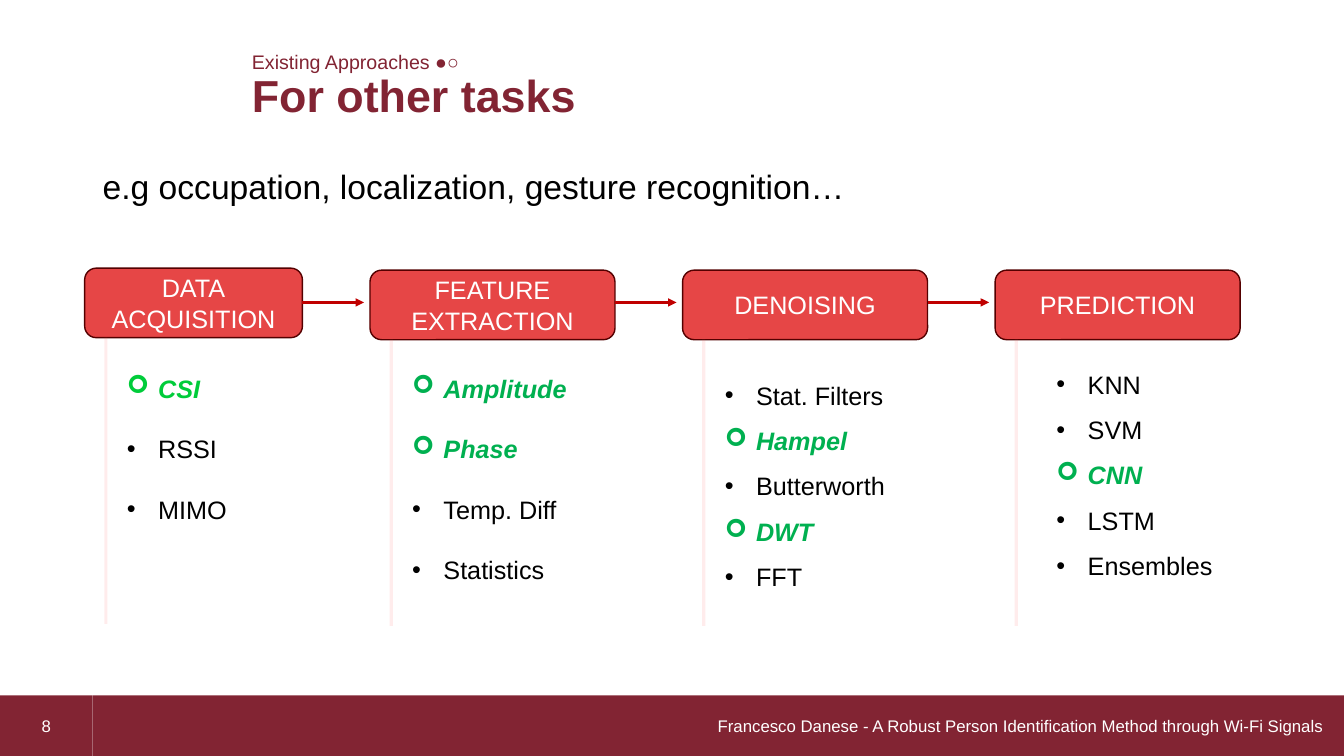
"""Build the slide on existing Wi-Fi sensing approaches for other tasks."""
import lxml.etree
import pptx
import pptx.util
from pptx.dml.color import RGBColor
from pptx.enum.shapes import MSO_CONNECTOR, MSO_SHAPE
from pptx.enum.text import MSO_ANCHOR, PP_ALIGN
from pptx.oxml.ns import qn

MAROON = RGBColor(0x82, 0x24, 0x33)
RED = RGBColor(0xE6, 0x46, 0x46)
DARK_RED = RGBColor(0x54, 0x00, 0x00)
ARROW_RED = RGBColor(0xC0, 0x00, 0x00)
PINK = RGBColor(0xFF, 0x70, 0x70)
GREEN = RGBColor(0x00, 0xB0, 0x50)
BRIGHT_GREEN = RGBColor(0x00, 0xCC, 0x3A)
BLACK = RGBColor(0, 0, 0)
WHITE = RGBColor(0xFF, 0xFF, 0xFF)

WIDTH, HEIGHT = 13.33, 7.5
FIRST_LEFT, PITCH, BOX_W, BOX_H = 0.57, 3.1, 2.43, 0.69
ARROW_Y, ARROW_W = 3.0, 0.61
RULE_INSET, RULE_H = 0.21, 2.84
FOOTER_TOP, NUMBER_W = 0.92 * HEIGHT, 0.92
INDENT = 0.31

STAGES = [
    dict(name="DATA\nACQUISITION", trim=0.27, top=2.66, list_gap=0.11, list_top=3.65,
         list_w=1.78, spread=False, accent=BRIGHT_GREEN,
         methods=["CSI", "RSSI", "MIMO"], chosen={"CSI"}),
    dict(name="FEATURE EXTRACTION", trim=0, top=2.68, list_gap=0.11, list_top=3.65,
         list_w=1.78, spread=False, accent=GREEN,
         methods=["Amplitude", "Phase", "Temp. Diff", "Statistics"],
         chosen={"Amplitude", "Phase"}),
    dict(name="DENOISING", trim=0, top=2.68, list_gap=0.11, list_top=3.57,
         list_w=2.79, spread=True, accent=GREEN,
         methods=["Stat. Filters", "Hampel", "Butterworth", "DWT", "FFT"],
         chosen={"Hampel", "DWT"}),
    dict(name="PREDICTION", trim=0, top=2.68, list_gap=0.3, list_top=3.46,
         list_w=2.79, spread=True, accent=GREEN,
         methods=["KNN", "SVM", "CNN", "LSTM", "Ensembles"], chosen={"CNN"}),
]


def inches(*lengths):
    """Convert lengths in inches to slide units."""
    return [pptx.util.Inches(length) for length in lengths]


def style(p, size, color, bold=False, italic=False):
    """Format every run of a paragraph."""
    for r in p.runs:
        r.font.name, r.font.size = "Arial", pptx.util.Pt(size)
        r.font.bold, r.font.italic = bold, italic
        r.font.color.rgb = color


def add_label(s, text, left, top, width, height, size, color, bold=False, wrap=True):
    """Add a one-line text box."""
    tf = s.shapes.add_textbox(*inches(left, top, width, height)).text_frame
    tf.word_wrap = wrap
    tf.text = text
    style(tf.paragraphs[0], size, color, bold)


def add_block(s, kind, text, left, top, width, height, fill, size, line=None,
              align=PP_ALIGN.CENTER):
    """Add a filled shape with white text and return it."""
    sp = s.shapes.add_shape(kind, *inches(left, top, width, height))
    sp.shadow.inherit = False
    sp.fill.solid()
    sp.fill.fore_color.rgb = fill
    if line is None:
        sp.line.fill.background()
    else:
        sp.line.color.rgb, sp.line.width = line, pptx.util.Pt(1)
    tf = sp.text_frame
    tf.word_wrap, tf.vertical_anchor = True, MSO_ANCHOR.MIDDLE
    tf.text = text
    for p in tf.paragraphs:
        p.alignment = align
        style(p, size, WHITE)
    return sp


def add_line(s, x1, y1, x2, y2, color, weight, arrow=False, opacity=None):
    """Add a straight line, with an arrowhead or transparency if asked."""
    cx = s.shapes.add_connector(MSO_CONNECTOR.STRAIGHT, *inches(x1, y1, x2, y2))
    cx.line.color.rgb, cx.line.width = color, pptx.util.Pt(weight)
    sp_pr = cx._element.spPr
    ln = sp_pr.find(qn("a:ln"))
    if arrow:
        lxml.etree.SubElement(ln, qn("a:tailEnd"), type="triangle")
    if opacity is not None:
        clr = ln.find(".//" + qn("a:srgbClr"))
        lxml.etree.SubElement(clr, qn("a:alpha"), val=str(opacity * 1000))
    lxml.etree.SubElement(sp_pr, qn("a:effectLst"))


def set_bullet(p, char, font):
    """Give a paragraph a hanging bullet."""
    p_pr = p._p.get_or_add_pPr()
    indent = pptx.util.Inches(INDENT)
    p_pr.set("marL", str(indent))
    p_pr.set("indent", str(-indent))
    lxml.etree.SubElement(p_pr, qn("a:buFont"), typeface=font)
    lxml.etree.SubElement(p_pr, qn("a:buChar"), char=char)


def add_methods(s, stage, left):
    """Add the bulleted methods of a stage, with the chosen ones accented."""
    methods = stage["methods"]
    height = 0.55 * len(methods)
    box = s.shapes.add_textbox(*inches(left, stage["list_top"], stage["list_w"], height))
    tf = box.text_frame
    tf.word_wrap = True
    tf.text = "\n".join(methods)
    for i, p in enumerate(tf.paragraphs):
        chosen = p.text in stage["chosen"]
        if stage["spread"]:
            p.line_spacing = 1.5
        elif i:
            p.space_before = pptx.util.Pt(21.6)
        set_bullet(p, *(("➢", "Wingdings") if chosen else ("•", "Arial")))
        style(p, 18, stage["accent"] if chosen else BLACK, chosen, chosen)


def add_stage(s, i, stage):
    """Add one pipeline column: heading, rule, methods and arrow onward."""
    left = FIRST_LEFT + i * PITCH + stage["trim"]
    right = FIRST_LEFT + i * PITCH + BOX_W
    bottom = stage["top"] + BOX_H
    rule_x = left + RULE_INSET
    add_block(s, MSO_SHAPE.ROUNDED_RECTANGLE, stage["name"], left, stage["top"],
              right - left, BOX_H, RED, 18, DARK_RED)
    add_line(s, rule_x, bottom, rule_x, bottom + RULE_H, PINK, 2.25, opacity=12)
    add_methods(s, stage, rule_x + stage["list_gap"])
    if i < len(STAGES) - 1:
        add_line(s, right, ARROW_Y, right + ARROW_W, ARROW_Y, ARROW_RED, 2, arrow=True)


def add_footer(s):
    """Add the slide number and the running title."""
    height = HEIGHT - FOOTER_TOP
    add_block(s, MSO_SHAPE.RECTANGLE, "8", 0, FOOTER_TOP, NUMBER_W, height, MAROON, 12)
    sp = add_block(s, MSO_SHAPE.RECTANGLE,
                   "Francesco Danese - A Robust Person Identification Method through Wi-Fi Signals",
                   NUMBER_W, FOOTER_TOP, WIDTH - NUMBER_W, height, MAROON, 12,
                   align=PP_ALIGN.RIGHT)
    sp.text_frame.margin_right = pptx.util.Inches(0.2)


def main():
    """Build and save the slide."""
    prs = pptx.Presentation()
    prs.slide_width, prs.slide_height = inches(WIDTH, HEIGHT)
    s = prs.slides.add_slide(prs.slide_layouts[6])
    add_label(s, "For other tasks", 2.4, 0.62, 10.07, 0.64, 32, MAROON, bold=True)
    add_label(s, "Existing Approaches ●○", 2.4, 0.45, 2.42, 0.34, 14, MAROON)
    add_label(s, "e.g occupation, localization, gesture recognition…",
              0.92, 1.6, 7.82, 0.5, 24, BLACK, wrap=False)
    for i, stage in enumerate(STAGES):
        add_stage(s, i, stage)
    add_footer(s)
    prs.save("out.pptx")


if __name__ == "__main__":
    main()
